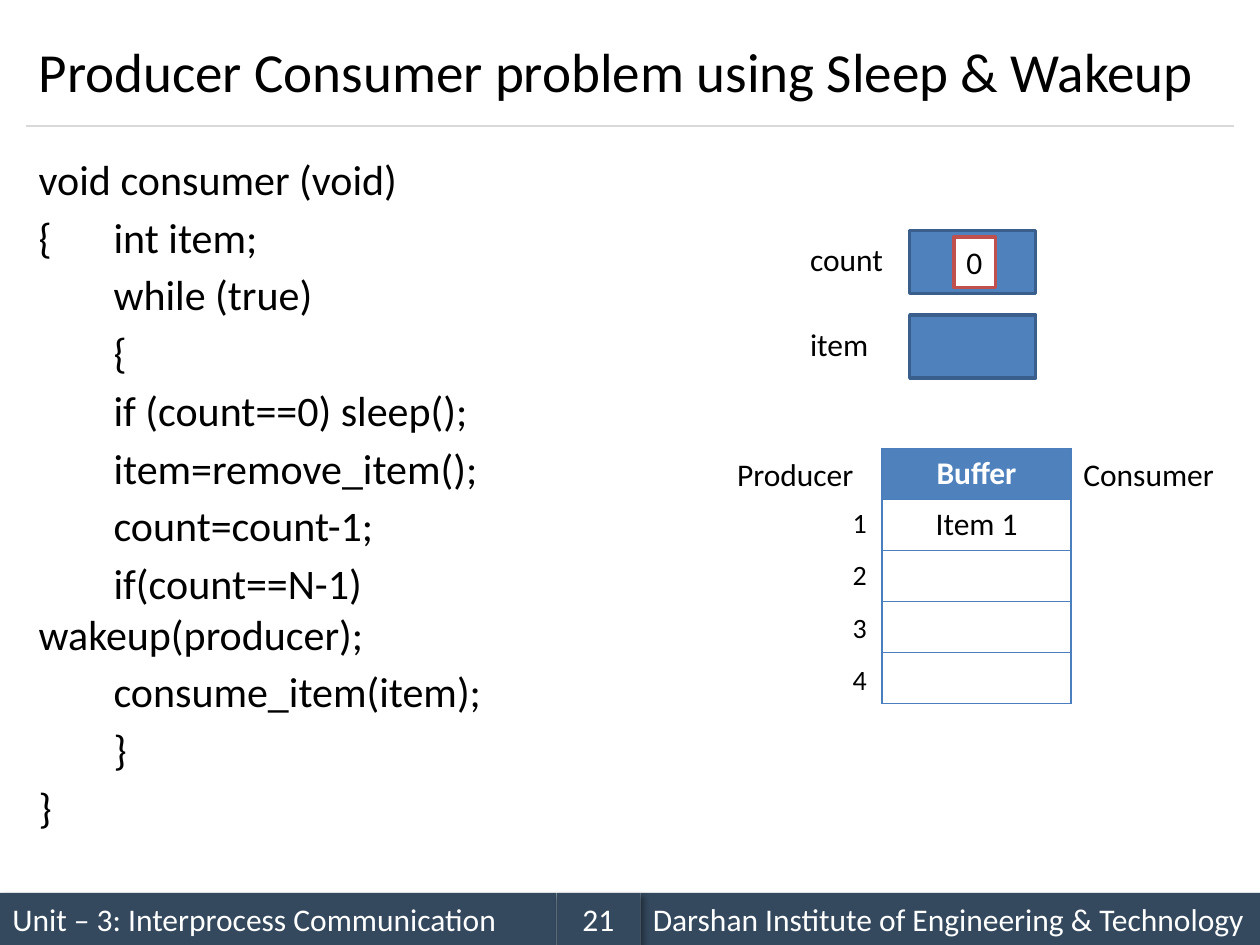
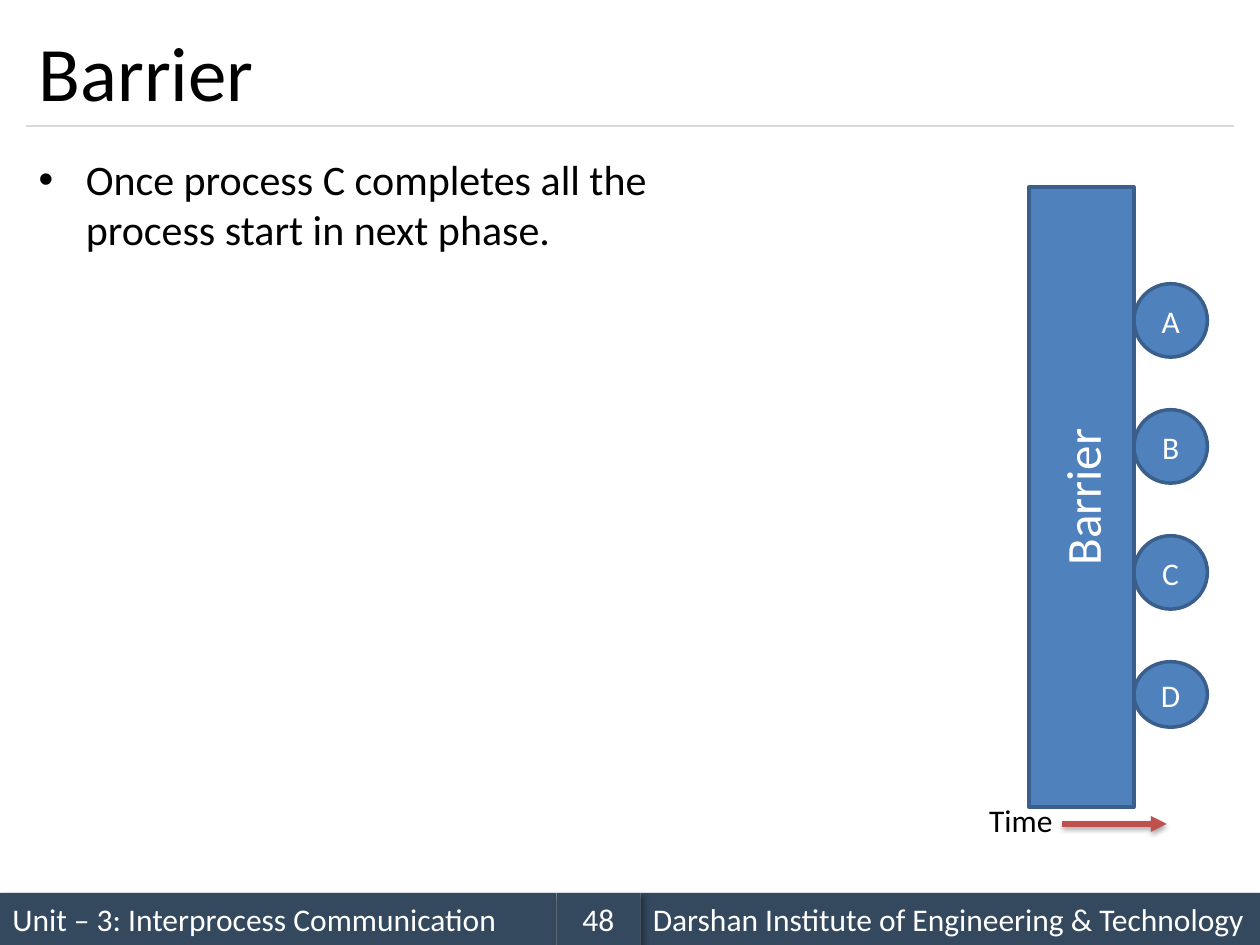
from dataclasses import dataclass

from lxml.etree import SubElement
from pptx import Presentation
from pptx.dml.color import RGBColor
from pptx.enum.shapes import MSO_CONNECTOR, MSO_SHAPE
from pptx.enum.text import MSO_ANCHOR, PP_ALIGN
from pptx.oxml.ns import qn
from pptx.util import Cm, Pt


@dataclass(frozen=True)
class Theme:
    """Colours, font and type sizes of the deck."""
    font: str = "Calibri"
    ink: str = "000000"
    white: str = "FFFFFF"
    band: str = "34495E"
    rule: str = "D9D9D9"
    blue: str = "4F81BD"
    edge: str = "3A5F8C"
    grid: str = "4B7EBC"
    red: str = "C0504D"
    title: float = 44
    long: float = 31.5
    big: float = 28
    body: float = 24
    text: float = 18
    small: float = 16
    gap: float = 4.2


T = Theme()
UNIT = "Unit – 3: Interprocess Communication"
SCHOOL = "Darshan Institute of Engineering & Technology"
CODE = [
    "void consumer (void)",
    "{\tint item;",
    "\twhile (true)",
    "\t{",
    "\tif (count==0) sleep();",
    "\titem=remove_item();",
    "\tcount=count-1;",
    "\tif(count==N-1) \twakeup(producer);",
    "\tconsume_item(item);",
    "\t}",
    "}",
]


def rgb(tone):
    """Turn a hex string into a colour."""
    return RGBColor.from_string(tone)


def cms(box):
    """Turn a box of numbers into lengths."""
    return [Cm(side) for side in box]


def put(para, text, size, tone, bold=False):
    """Add one styled run to a paragraph."""
    run = para.add_run()
    run.text = text
    font = run.font
    font.name, font.size, font.bold = T.font, Pt(size), bold
    font.color.rgb = rgb(tone)


def write(frame, lines, size, tone, align=PP_ALIGN.LEFT,
          anchor=MSO_ANCHOR.TOP):
    """Fill a text frame with one paragraph per line."""
    frame.word_wrap = True
    frame.vertical_anchor = anchor
    for num, line in enumerate(lines):
        para = frame.add_paragraph() if num else frame.paragraphs[0]
        para.alignment = align
        if num:
            para.space_before = Pt(T.gap)
        put(para, line, size, tone)


def label(slide, box, lines, size=T.text, **look):
    """Add a plain text box."""
    frame = slide.shapes.add_textbox(*cms(box)).text_frame
    write(frame, lines, size, T.ink, **look)
    return frame


def block(slide, box, fill, edge=None, kind=MSO_SHAPE.RECTANGLE):
    """Add a filled shape with an optional outline."""
    shape = slide.shapes.add_shape(kind, *cms(box))
    shape.shadow.inherit = False
    shape.fill.solid()
    shape.fill.fore_color.rgb = rgb(fill)
    if edge:
        shape.line.color.rgb = rgb(edge)
        shape.line.width = Pt(2)
    else:
        shape.line.fill.background()
    return shape


def line(slide, start, end, tone, width):
    """Add a straight line without a shadow."""
    link = slide.shapes.add_connector(
        MSO_CONNECTOR.STRAIGHT, *cms(start), *cms(end))
    link.line.color.rgb = rgb(tone)
    link.line.width = Pt(width)
    SubElement(link._element.spPr, qn("a:effectLst"))
    return link


def shade(shape, alpha, blur, dist, turn):
    """Give a shape an outer shadow."""
    glow = shape._element.spPr.find(qn("a:effectLst"))
    outer = SubElement(glow, qn("a:outerShdw"), blurRad=str(Pt(blur)),
                       dist=str(Pt(dist)), dir=str(turn * 60000),
                       rotWithShape="0")
    tone = SubElement(outer, qn("a:srgbClr"), val=T.ink)
    SubElement(tone, qn("a:alpha"), val=str(alpha * 1000))


def footer(slide, box, page):
    """Draw the three footer bands."""
    x, y, w, h = box
    left, mid = 11.22, 1.69
    right = left + mid
    bands = [
        (x, left, UNIT, PP_ALIGN.LEFT),
        (x + right, w - right, SCHOOL, PP_ALIGN.LEFT),
        (x + left, mid, str(page), PP_ALIGN.CENTER),
    ]
    for at, wide, text, align in bands:
        band = block(slide, (at, y, wide, h), T.band)
        shade(band, 40, 4, 3, 45)
        write(band.text_frame, [text], T.text, T.white, align,
              MSO_ANCHOR.MIDDLE)


def header(slide, box, text, size):
    """Draw the title and the rule under it."""
    x, y, w, h = box
    label(slide, box, [text], size, anchor=MSO_ANCHOR.MIDDLE)
    line(slide, (x, y + h), (x + w, y + h), T.rule, 0.75)


def base(deck, text, size, page):
    """Add a slide with the shared title and footer."""
    slide = deck.slides.add_slide(deck.slide_layouts[6])
    footer(slide, (0, 18, 25.4, 1.05), page)
    header(slide, (0.53, 0.3, 24.34, 2.24), text, size)
    return slide


def code(slide, box):
    """Write the consumer routine with a tab stop."""
    frame = label(slide, box, CODE, T.body)
    for para in frame.paragraphs:
        tabs = SubElement(para._p.get_or_add_pPr(), qn("a:tabLst"))
        SubElement(tabs, qn("a:tab"), pos=str(Cm(1.51)), algn="l")


def state(slide, box):
    """Draw the two variables and the value of count."""
    x, y, w, h = box
    wide, high = 2.54, 1.27
    for num, name in enumerate(["count", "item"]):
        top = y + num * (h - high)
        block(slide, (x + w - wide, top, wide, high), T.blue, T.edge)
        label(slide, (x, top + 0.07, 2.12, 1.02), [name])
    value = block(slide, (x + 3.15, y + 0.13, 0.84, 1.02), T.white, T.red)
    write(value.text_frame, ["0"], T.text, T.ink)


def border(cell):
    """Outline a table cell on all four sides."""
    props = cell._tc.get_or_add_tcPr()
    for num, side in enumerate(["lnL", "lnR", "lnT", "lnB"]):
        edge = props.makeelement(qn("a:" + side), {"w": str(Pt(0.75))})
        fill = SubElement(edge, qn("a:solidFill"))
        SubElement(fill, qn("a:srgbClr"), val=T.grid)
        props.insert(num, edge)


def buffer(slide, box):
    """Draw the buffer table with its labels."""
    x, y, w, h = box
    rows, side, wide = 5, 3.17, 3.81
    mid = x + side
    table = slide.shapes.add_table(
        rows, 1, *cms((mid, y, wide, h))).table
    table.horz_banding = False
    for num in range(rows):
        table.rows[num].height = Cm(h / rows)
        cell = table.cell(num, 0)
        cell.fill.solid()
        cell.fill.fore_color.rgb = rgb(T.white if num else T.blue)
        border(cell)
    head = table.cell(0, 0).text_frame.paragraphs[0]
    head.alignment = PP_ALIGN.CENTER
    put(head, "Buffer", T.text, T.white, True)
    label(slide, (x, y, 2.97, 1.02), ["Producer"])
    label(slide, (mid + wide, y, w - side - wide, 1.02), ["Consumer"])
    for num in range(1, rows):
        top = y + 1.02 + (num - 1) * 1.06
        label(slide, (mid - 0.84, top, 0.84, 0.94), [str(num)], T.small)
    label(slide, (mid + 0.64, y + 0.99, 2.54, 1.02), ["Item 1"],
          align=PP_ALIGN.CENTER)


def point(slide, box, text):
    """Write one bulleted point."""
    frame = label(slide, box, [text], T.body)
    props = frame.paragraphs[0]._p.get_or_add_pPr()
    props.set("marL", str(Cm(0.95)))
    props.set("indent", str(Cm(-0.95)))
    SubElement(props, qn("a:buFont"), typeface="Arial")
    SubElement(props, qn("a:buChar"), char="•")


def wall(slide, box):
    """Draw the upright barrier and the processes past it."""
    x, y, w, h = box
    wide = 2.12
    turned = (x + (wide - h) / 2, y + (h - wide) / 2, h, wide)
    bar = block(slide, turned, T.blue, T.edge)
    bar.rotation = 270
    write(bar.text_frame, ["Barrier"], T.big, T.white, PP_ALIGN.CENTER,
          MSO_ANCHOR.MIDDLE)
    for num, name in enumerate("ABCD"):
        size = w - wide
        high = 1.32 if name == "D" else size
        spot = (x + wide, y + 1.95 + num * 2.54, size, high)
        ball = block(slide, spot, T.blue, T.edge, MSO_SHAPE.OVAL)
        write(ball.text_frame, [name], T.text, T.white, PP_ALIGN.CENTER,
              MSO_ANCHOR.MIDDLE)


def clock(slide, box):
    """Draw the time label and its arrow."""
    x, y, w, h = box
    axis = y + 0.58
    arrow = line(slide, (x + 1.72, axis), (x + w, axis), T.red, 3)
    shade(arrow, 35, 3.1, 1.8, 90)
    SubElement(arrow.line._get_or_add_ln(), qn("a:tailEnd"),
               type="triangle")
    label(slide, (x, y, 1.91, h), ["Time"])


def main():
    """Build both slides and save the deck."""
    deck = Presentation()
    deck.slide_width, deck.slide_height = Cm(25.4), Cm(19.05)

    slide = base(deck, "Producer Consumer problem using Sleep & Wakeup",
                 T.long, 21)
    code(slide, (0.53, 2.97, 13.54, 14.81))
    buffer(slide, (14.61, 9.04, 10.16, 5.15))
    state(slide, (16.08, 4.65, 4.8, 2.97))

    slide = base(deck, "Barrier", T.title, 48)
    point(slide, (0.53, 2.97, 14.4, 14.05),
          "Once process C completes all the process start in next phase.")
    wall(slide, (20.74, 3.77, 3.6, 12.5))
    clock(slide, (19.69, 16.03, 3.83, 1.02))

    deck.save("out.pptx")


if __name__ == "__main__":
    main()
